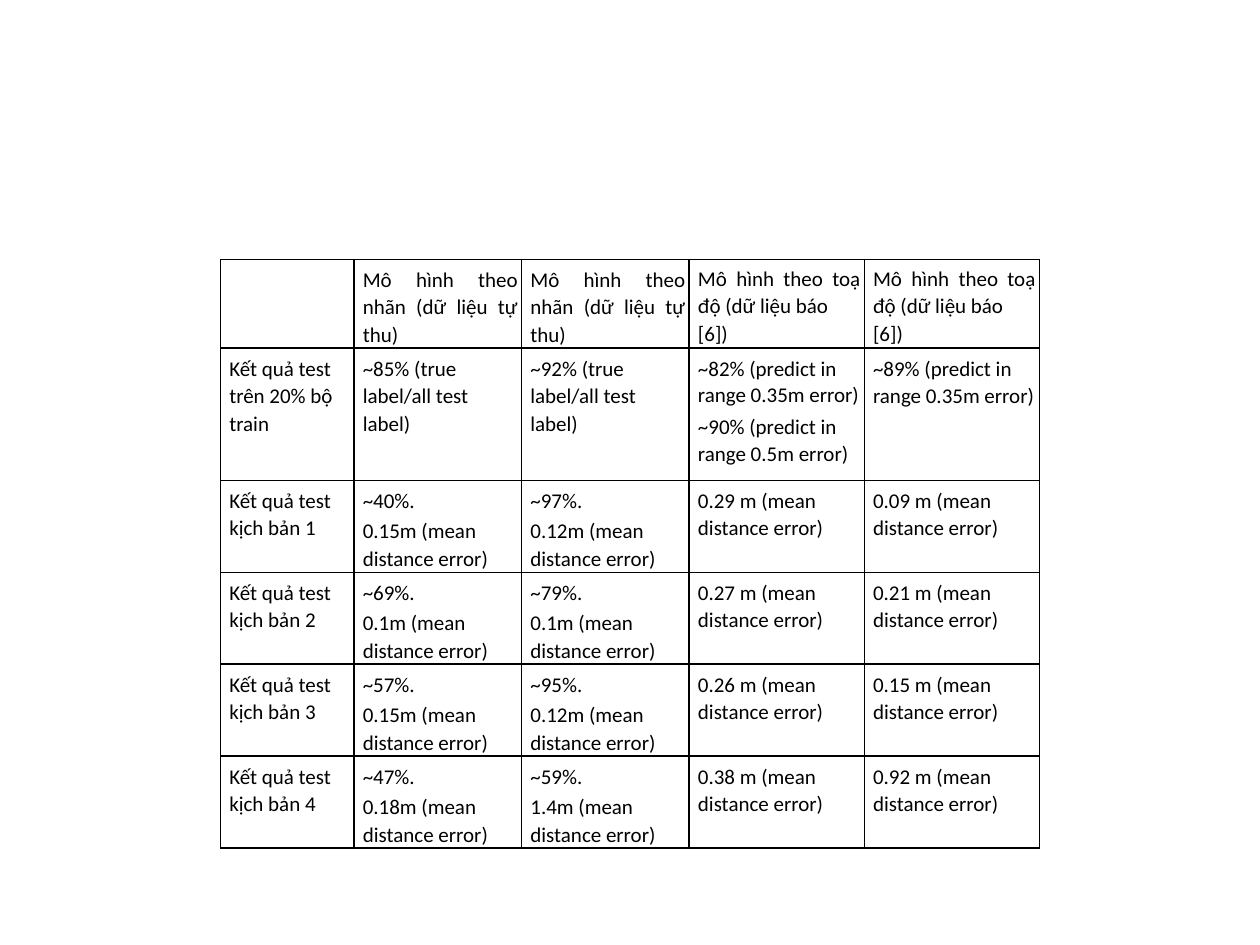
from lxml import etree
from pptx import Presentation
from pptx.dml.color import RGBColor
from pptx.enum.text import PP_ALIGN
from pptx.oxml.ns import qn
from pptx.util import Inches, Pt

BLACK = RGBColor(0x00, 0x00, 0x00)
JUSTIFY, LEFT = PP_ALIGN.JUSTIFY, PP_ALIGN.LEFT
COL_WIDTHS = [1.06, 1.33, 1.33, 1.39, 1.39]
ROW_HEIGHTS = [0.62, 1.05] + [0.67] * 4

LABEL_MODEL = ["Mô hình theo nhãn (dữ liệu tự thu) "]
COORD_MODEL = ["Mô hình theo toạ độ (dữ liệu báo ", "[6])"]
MEAN, ERROR = "(mean", "distance error)"

# Each cell is a list of paragraphs
ROWS = [
    [[], LABEL_MODEL, LABEL_MODEL, COORD_MODEL, COORD_MODEL],
    [
        ["Kết quả test", "trên 20% bộ train"],
        ["~85% (true", "label/all test label)"],
        ["~92% (true", "label/all test label)"],
        ["~82% (predict in", "range 0.35m error)", "~90% (predict in range 0.5m error)"],
        ["~89% (predict in", "range 0.35m error)"],
    ],
]
SCENARIOS = [
    (["~40%.", f"0.15m {MEAN}", ERROR], ["~97%.", f"0.12m {MEAN}", ERROR], "0.29", "0.09"),
    (["~69%.", f"0.1m {MEAN} {ERROR}"], ["~79%.", f"0.1m {MEAN} {ERROR}"], "0.27", "0.21"),
    (["~57%.", f"0.15m {MEAN}", ERROR], ["~95%.", f"0.12m {MEAN}", ERROR], "0.26", "0.15"),
    (["~47%.", f"0.18m {MEAN}", ERROR], ["~59%.", f"1.4m {MEAN} {ERROR}"], "0.38", "0.92"),
]
for number, (first, second, *distances) in enumerate(SCENARIOS, 1):
    ROWS.append([[f"Kết quả test kịch bản {number}"], first, second]
                + [[f"{d} m {MEAN} {ERROR}"] for d in distances])


def add_borders(cell):
    tc_pr = cell._tc.get_or_add_tcPr()
    for side in ("a:lnL", "a:lnR", "a:lnT", "a:lnB"):
        ln = etree.SubElement(tc_pr, qn(side), w=str(Pt(1)))
        fill = etree.SubElement(ln, qn("a:solidFill"))
        etree.SubElement(fill, qn("a:srgbClr"), val=str(BLACK))


def paragraph_format(row, paragraphs, i):
    """Return alignment, line spacing and space after in points."""
    if row == 0 and i == 0:
        return JUSTIFY, 1.04 if len(paragraphs) > 1 else 1.07, 0.2
    if row == 1 and len(paragraphs) == 3 and i == 1:
        return LEFT, 0.99, 3
    return LEFT, 1.07, 1.8 if paragraphs[i].endswith("%.") else 0.2


prs = Presentation()
prs.slide_width, prs.slide_height = Inches(10), Inches(7.5)
s = prs.slides.add_slide(prs.slide_layouts[6])

table = s.shapes.add_table(len(ROWS), len(COL_WIDTHS), Inches(1.75), Inches(2.06),
                           Inches(sum(COL_WIDTHS)), Inches(sum(ROW_HEIGHTS))).table
table.first_row = table.horz_banding = False
for column, width in zip(table.columns, COL_WIDTHS):
    column.width = Inches(width)
for row, height in zip(table.rows, ROW_HEIGHTS):
    row.height = Inches(height)

for r_index, row in enumerate(ROWS):
    for c_index, paragraphs in enumerate(row):
        cell = table.cell(r_index, c_index)
        cell.margin_left, cell.margin_top = Inches(0.07), Inches(0.05)
        cell.margin_right, cell.margin_bottom = Inches(0.03), 0
        add_borders(cell)
        cell.fill.background()
        tf = cell.text_frame
        for i, text in enumerate(paragraphs):
            p = tf.add_paragraph() if i else tf.paragraphs[0]
            p.alignment, p.line_spacing, after = paragraph_format(r_index, paragraphs, i)
            p.space_after = Pt(after)
            r = p.add_run()
            r.text = text
            r.font.name, r.font.size = "Calibri", Pt(12)
            r.font.color.rgb = BLACK

prs.save("out.pptx")
